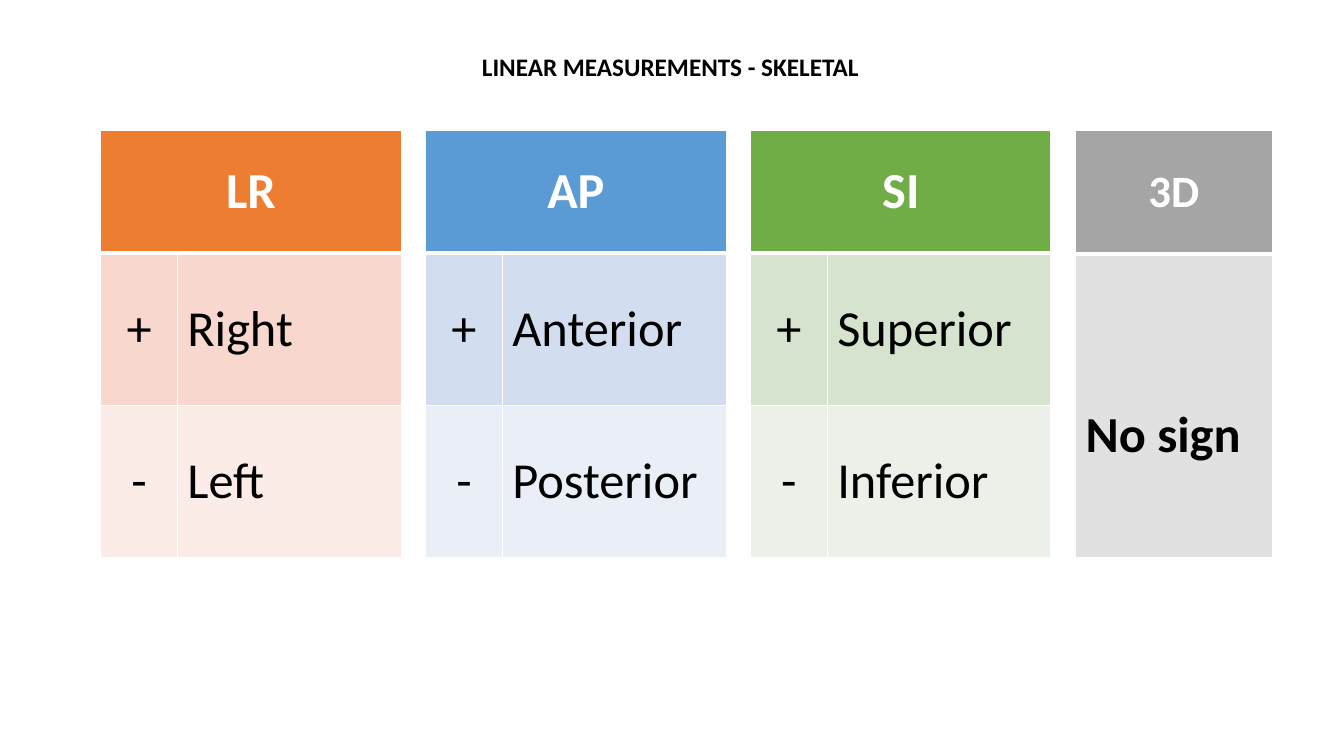
from dataclasses import dataclass

from lxml.etree import SubElement
from pptx import Presentation
from pptx.dml.color import RGBColor
from pptx.enum.text import MSO_ANCHOR as Anchor, MSO_AUTO_SIZE as AutoSize, PP_ALIGN as Align
from pptx.oxml.ns import qn
from pptx.slide import Slide
from pptx.table import Table, _Cell as Cell
from pptx.util import Pt

FONT = "Calibri"
COLOURS = {
    "white": "FFFFFF", "black": "000000",
    "orange": "ED7D31", "orange mid": "F8D7CE", "orange pale": "FCECE8",
    "blue": "5B9BD5", "blue mid": "D2DEEF", "blue pale": "EAEFF7",
    "green": "70AD47", "green mid": "D5E3CF", "green pale": "EBF1E9",
    "grey": "A5A5A5", "grey pale": "E1E1E1",
}
TABLE_LEFT, TABLE_TOP, TABLE_PITCH = 72, 92.9, 232.1
AXIS_COLUMNS = [54.7, 159.9]
AXIS_ROWS = [87.8, 108.7, 108.7]
TOTAL_COLUMNS = [140.4]
TOTAL_ROWS = [88.6, 216.7]
THIN, THICK = 1, 3


@dataclass
class Axis:
    name: str
    positive: str
    negative: str
    colour: str


AXES = [
    Axis("LR", "Right", "Left", "orange"),
    Axis("AP", "Anterior", "Posterior", "blue"),
    Axis("SI", "Superior", "Inferior", "green"),
]


def rgb(name: str) -> RGBColor:
    return RGBColor.from_string(COLOURS[name])


def set_borders(cell: Cell, top: float, bottom: float) -> None:
    properties = cell._tc.get_or_add_tcPr()
    widths = {"a:lnL": THIN, "a:lnR": THIN, "a:lnT": top, "a:lnB": bottom}
    for index, (tag, width) in enumerate(widths.items()):
        line = SubElement(properties, qn(tag), w=str(Pt(width)))
        fill = SubElement(line, qn("a:solidFill"))
        SubElement(fill, qn("a:srgbClr"), val=COLOURS["white"])
        properties.insert(index, line)


def format_cell(cell: Cell, text: str, fill: str, colour: str = "black",
                size: float = 36, bold: bool = False, align: Align = Align.LEFT) -> None:
    cell.fill.solid()
    cell.fill.fore_color.rgb = rgb(fill)
    cell.vertical_anchor = Anchor.MIDDLE
    if not text:
        return
    cell.text_frame.text = text
    para = cell.text_frame.paragraphs[0]
    para.alignment = align
    font = para.runs[0].font
    font.name, font.size, font.bold = FONT, Pt(size), bold
    font.color.rgb = rgb(colour)


def add_plain_table(slide: Slide, position: int, columns: list[float],
                    rows: list[float]) -> Table:
    frame = slide.shapes.add_table(
        len(rows), len(columns), Pt(TABLE_LEFT + position * TABLE_PITCH),
        Pt(TABLE_TOP), Pt(sum(columns)), Pt(sum(rows)))
    table = frame.table
    table.horz_banding = False
    for column, width in zip(table.columns, columns):
        column.width = Pt(width)
    for index, height in enumerate(rows):
        table.rows[index].height = Pt(height)
        # The heavy rule runs between the header and the first body row
        for cell in table.rows[index].cells:
            set_borders(cell, THICK if index == 1 else THIN,
                        THICK if index == 0 else THIN)
    return table


def add_axis_table(slide: Slide, position: int, axis: Axis) -> None:
    table = add_plain_table(slide, position, AXIS_COLUMNS, AXIS_ROWS)
    header = table.cell(0, 0)
    header.merge(table.cell(0, 1))
    format_cell(header, axis.name, axis.colour, "white", bold=True, align=Align.CENTER)
    format_cell(table.cell(0, 1), "", axis.colour)
    body = [("+", axis.positive, "mid"), ("-", axis.negative, "pale")]
    for row, (sign, direction, tint) in enumerate(body, start=1):
        fill = f"{axis.colour} {tint}"
        format_cell(table.cell(row, 0), sign, fill, align=Align.CENTER)
        format_cell(table.cell(row, 1), direction, fill)


def add_total_table(slide: Slide, position: int) -> None:
    table = add_plain_table(slide, position, TOTAL_COLUMNS, TOTAL_ROWS)
    format_cell(table.cell(0, 0), "3D", "grey", "white", 32, True, Align.CENTER)
    note = table.cell(1, 0)
    format_cell(note, "No sign", "grey pale", bold=True)
    note.margin_top = Pt(46)


def add_title(slide: Slide) -> None:
    title = slide.shapes.title
    title.left, title.top, title.width, title.height = Pt(337), Pt(33.1), Pt(501.8), Pt(28.8)
    frame = title.text_frame
    frame.text = "LINEAR MEASUREMENTS - SKELETAL"
    frame.word_wrap = True
    frame.auto_size = AutoSize.NONE
    frame.vertical_anchor = Anchor.TOP
    para = frame.paragraphs[0]
    para.alignment = Align.LEFT
    font = para.runs[0].font
    font.name, font.size, font.bold = FONT, Pt(18), True
    font.color.rgb = rgb("black")


def main() -> None:
    deck = Presentation()
    deck.slide_width, deck.slide_height = Pt(960), Pt(540)
    page = deck.slides.add_slide(deck.slide_layouts[5])

    # Heading
    add_title(page)

    # One table per axis, then the unsigned total
    for position, axis in enumerate(AXES):
        add_axis_table(page, position, axis)
    add_total_table(page, len(AXES))

    deck.save("out.pptx")


if __name__ == "__main__":
    main()
